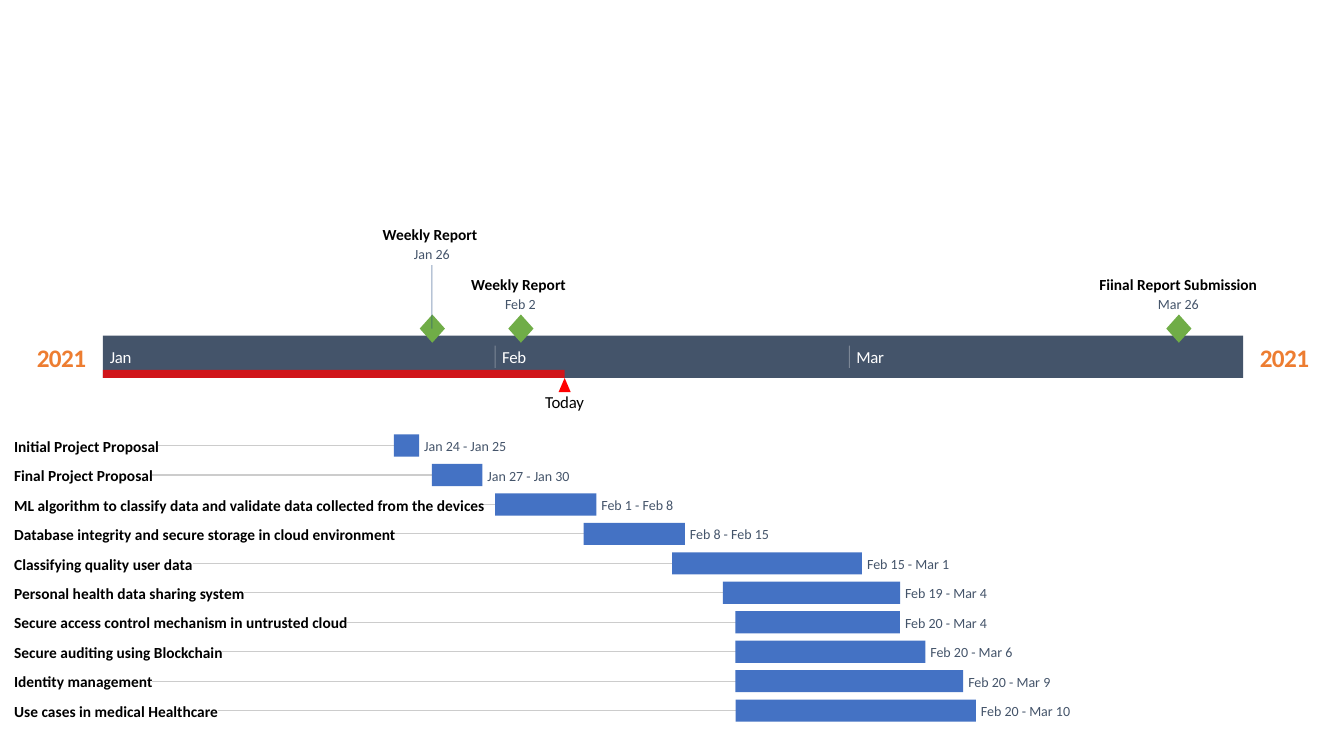
from pptx import Presentation
from pptx.dml.color import RGBColor as RGB
from pptx.enum.shapes import MSO_CONNECTOR as LINK, MSO_SHAPE as FORM
from pptx.enum.text import MSO_ANCHOR as ANCHOR, PP_ALIGN as ALIGN
from pptx.oxml.ns import qn
from pptx.util import Inches, Pt
from lxml.etree import SubElement as Sub

# Theme: colours, and text looks as (font values, colour, spacing)
face = "Calibri"
theme = {
    "band": "44546A", "past": "FF0000", "task": "4472C4", "mark": "70AD47",
    "rule": "CCCCCC", "tick": "FFFFFF", "stem": "1F497E",
    "name": ({"size": Pt(11), "bold": True, "name": face}, "000000", 0),
    "date": ({"size": Pt(10), "bold": False, "name": face}, "44546A", 0),
    "year": ({"size": Pt(18), "bold": True, "name": face}, "ED7D31", -40),
    "today": ({"size": Pt(12), "bold": False, "name": face}, "000000", -10),
    "month": ({"size": Pt(12), "bold": False, "name": face}, "FFFFFF", -20),
}

deck = Presentation()
deck.slide_width, deck.slide_height = Inches(13.33), Inches(7.5)
slide = deck.slides.add_slide(deck.slide_layouts[6])
shapes = slide.shapes


def write(words, look, x, y, w, h, align=ALIGN.LEFT):
    frame = shapes.add_textbox(*map(Inches, (x, y, w, h))).text_frame
    setup = {"word_wrap": True, "vertical_anchor": ANCHOR.MIDDLE,
             "margin_left": 0, "margin_right": 0,
             "margin_top": 0, "margin_bottom": 0}
    for key, val in setup.items():
        setattr(frame, key, val)
    para = frame.paragraphs[0]
    para.alignment = align
    run = para.add_run()
    run.text = words
    font, tint, gap = theme[look]
    for key, val in font.items():
        setattr(run.font, key, val)
    run.font.color.rgb = RGB.from_string(tint)
    if gap:
        run.font._element.set("spc", str(gap))


def draw(form, tint, x, y, w, h, alpha=100):
    """Draw a filled shape, or a line from (x, y) by (w, h) if form is None."""
    if form is None:
        item = shapes.add_connector(
            LINK.STRAIGHT, *map(Inches, (x, y, x + w, y + h)))
        item.line.width = Pt(0.75)
        Sub(item._element.spPr, qn("a:effectLst"))
        fill = item.line.fill
    else:
        item = shapes.add_shape(form, *map(Inches, (x, y, w, h)))
        item.shadow.inherit = False
        item.line.fill.background()
        fill = item.fill
    fill.solid()
    fill.fore_color.rgb = RGB.from_string(theme[tint])
    if alpha < 100:
        for clr in item._element.spPr.iter(qn("a:srgbClr")):
            Sub(clr, qn("a:alpha")).set("val", str(alpha * 1000))


# Time scale: a date's place is its count of days from January 1
left, day = 1.02, 0.1255
start = {"Jan": 0, "Feb": 31, "Mar": 59}


def place(date, shift=0):
    month, num = date.split()
    return left + day * (start[month] + int(num) - 1 + shift)


# Year band, elapsed time and today
for x in (0.35, 12.48):
    write("2021", "year", x, 3.39, 0.52, 0.31, ALIGN.CENTER)
now = 5.6
draw(FORM.RECTANGLE, "band", left, 3.33, 11.31, 0.42)
draw(FORM.RECTANGLE, "past", left, 3.67, now - left, 0.08, 75)
draw(FORM.ISOSCELES_TRIANGLE, "past", now - 0.06, 3.75, 0.12, 0.14)
write("Today", "today", now - 0.3, 3.89, 0.6, 0.2, ALIGN.CENTER)

# Months
for month in start:
    x = place(month + " 1")
    write(month, "month", x + 0.07, 3.44, 0.5, 0.2)
    if x > left:
        draw(None, "tick", x, 3.43, 0, 0.22, 30)

# Tasks: name, first day, last day, right edge of the name
tasks = [
    ("Initial Project Proposal", "Jan 24", "Jan 25", 1.57),
    ("Final Project Proposal", "Jan 27", "Jan 30", 1.51),
    ("ML algorithm to classify data and validate data collected "
     "from the devices", "Feb 1", "Feb 8", 4.79),
    ("Database integrity and secure storage in cloud environment",
     "Feb 8", "Feb 15", 3.91),
    ("Classifying quality user data", "Feb 15", "Mar 1", 1.91),
    ("Personal health data sharing system", "Feb 19", "Mar 4", 2.42),
    ("Secure access control mechanism in untrusted cloud",
     "Feb 20", "Mar 4", 3.44),
    ("Secure auditing using Blockchain", "Feb 20", "Mar 6", 2.2),
    ("Identity management", "Feb 20", "Mar 9", 1.51),
    ("Use cases in medical Healthcare", "Feb 20", "Mar 10", 2.16),
]
top, low = 4.31, 6.94
step = (low - top) / (len(tasks) - 1)
for i, (name, first, last, edge) in enumerate(tasks):
    y = top + i * step
    x, end = place(first), place(last, 1)
    draw(None, "rule", edge, y + 0.11, x - edge, 0)
    draw(FORM.RECTANGLE, "task", x, y, end - x, 0.22)
    write(f"{first} - {last}", "date", end + 0.05, y + 0.03, 1, 0.17)
    write(name, "name", 0.14, y + 0.02, edge - 0.08, 0.19)

# Milestones: name, date, top of the name
marks = [
    ("Weekly Report ", "Jan 26", 2.23),
    ("Weekly Report ", "Feb 2", 2.73),
    ("Fiinal Report Submission", "Mar 26", 2.73),
]
for name, date, y in marks:
    x = place(date, 1)
    draw(FORM.DIAMOND, "mark", x - 0.12, 3.12, 0.25, 0.28)
    write(name, "name", x - 0.9, y, 1.8, 0.19, ALIGN.CENTER)
    write(date, "date", x - 0.3, y + 0.2, 0.6, 0.17, ALIGN.CENTER)
    if y < 2.5:
        draw(None, "stem", x, y + 0.4, 0, 0.63, 50)

deck.save("out.pptx")
